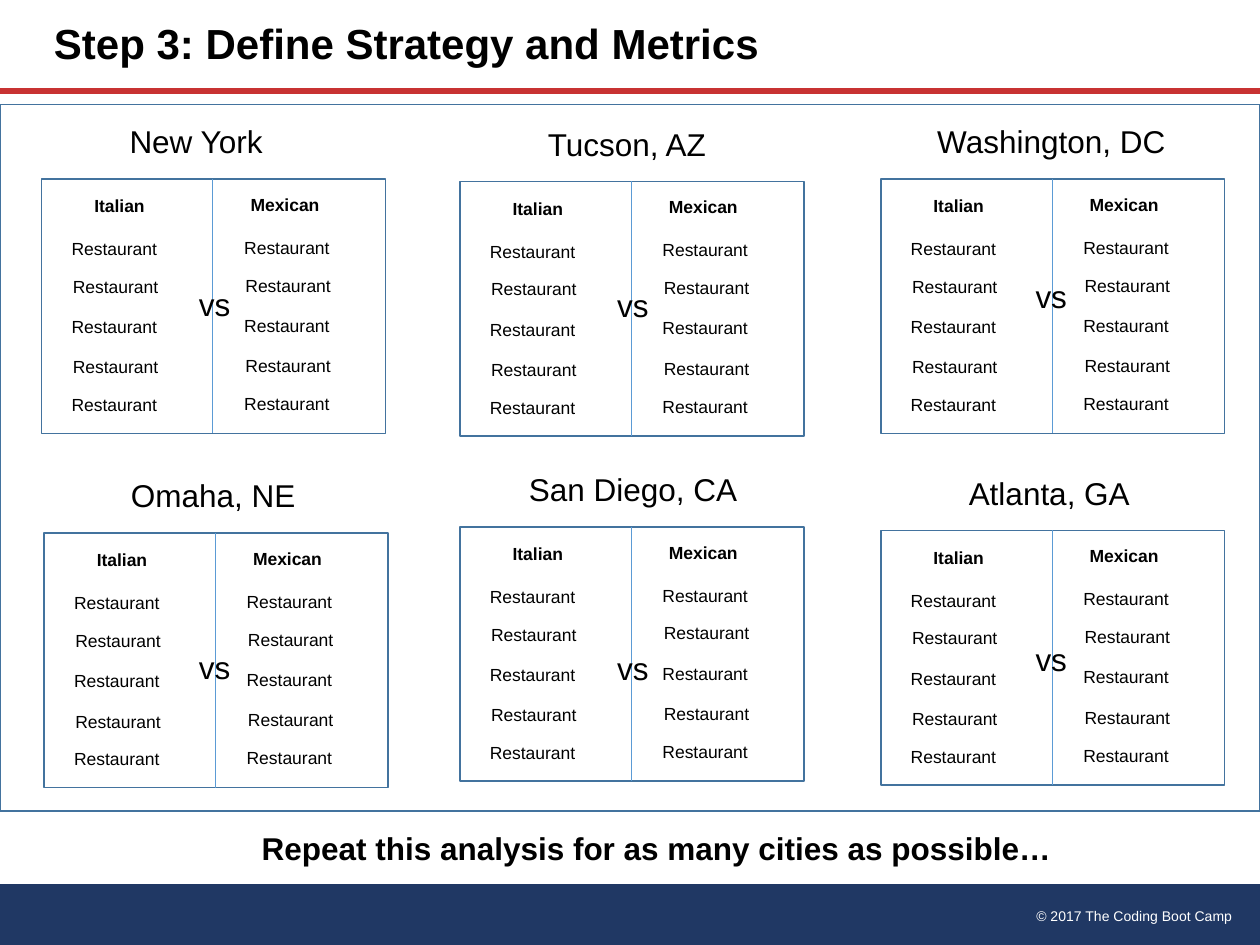
from dataclasses import dataclass

from lxml.etree import SubElement
from pptx import Presentation
from pptx.dml.color import RGBColor
from pptx.enum.shapes import MSO_CONNECTOR as CONN, MSO_SHAPE as SHAPE
from pptx.enum.text import MSO_ANCHOR as ANCHOR, MSO_AUTO_SIZE as AUTO, PP_ALIGN as ALIGN
from pptx.oxml.ns import qn
from pptx.util import Pt

"""Build the restaurant comparison slide for six cities."""

PX = 9144
FONT = "Arial"
BLACK = RGBColor(0x00, 0x00, 0x00)
WHITE = RGBColor(0xFF, 0xFF, 0xFF)
NAVY = RGBColor(0x20, 0x38, 0x64)
RED = RGBColor(0xC8, 0x32, 0x32)
STEEL = RGBColor(0x43, 0x73, 0x9E)
SKY = RGBColor(0x5B, 0x9B, 0xD5)

CARD_W, CARD_H = 273, 202
DIVIDER_X = 136
ROW_YS = (42, 72, 104, 136, 166)


@dataclass(frozen=True)
class City:
    name: str
    x: int
    y: int
    name_x: int
    name_w: int
    vs_x: int
    vs_y: int


@dataclass(frozen=True)
class Cuisine:
    name: str
    x: int
    w: int
    rows_x: int
    lift: int


CITIES = (
    City("New York", 33, 142, 93, 154, 148, 221),
    City("Tucson, AZ", 365, 144, 425, 147, 480, 222),
    City("Washington, DC", 699, 142, 734, 203, 812, 215),
    City("Omaha, NE", 35, 423, 94, 152, 148, 509),
    City("San Diego, CA", 365, 418, 410, 187, 480, 510),
    City("Atlanta, GA", 699, 421, 759, 149, 812, 503),
)
CUISINES = (
    Cuisine("Italian", 32, 73, 14, 0),
    Cuisine("Mexican", 156, 91, 151, 1),
)


def add_text(shapes, text: str, x: int, y: int, w: int, h: int, size: int,
             bold: bool = False, color: RGBColor = BLACK, align=ALIGN.LEFT,
             wrap: bool = False):
    """Add a one-run text box and return its text frame."""
    tf = shapes.add_textbox(x * PX, y * PX, w * PX, h * PX).text_frame
    tf.word_wrap = wrap
    tf.auto_size = AUTO.SHAPE_TO_FIT_TEXT
    p = tf.paragraphs[0]
    p.alignment = align
    r = p.add_run()
    r.text = text
    r.font.name = FONT
    r.font.size = Pt(size)
    r.font.bold = bold
    r.font.color.rgb = color
    return tf


def add_frame(shapes, x: int, y: int, w: int, h: int) -> None:
    """Add an outlined rectangle without fill."""
    sp = shapes.add_shape(SHAPE.RECTANGLE, x * PX, y * PX, w * PX, h * PX)
    sp.shadow.inherit = False
    sp.fill.background()
    sp.line.color.rgb = STEEL
    sp.line.width = Pt(1)


def add_line(shapes, x1: int, y1: int, x2: int, y2: int,
             color: RGBColor, width: float) -> None:
    """Add a straight line without a shadow."""
    line = shapes.add_connector(CONN.STRAIGHT, x1 * PX, y1 * PX, x2 * PX, y2 * PX)
    line.line.color.rgb = color
    line.line.width = Pt(width)
    SubElement(line._element.spPr, qn("a:effectLst"))


def add_city(s, city: City) -> None:
    """Add the grouped card of one city."""
    shapes = s.shapes.add_group_shape().shapes
    add_frame(shapes, city.x, city.y, CARD_W, CARD_H)
    add_text(shapes, city.name, city.name_x, city.y - 50, city.name_w, 40, 18)
    mid = city.x + DIVIDER_X
    add_line(shapes, mid, city.y, mid, city.y + CARD_H, SKY, 0.5)
    for c in CUISINES:
        top = city.y - c.lift
        add_text(shapes, c.name, city.x + c.x, top + 8, c.w, 33, 10, bold=True)
        for i, row_y in enumerate(ROW_YS):
            add_text(shapes, "Restaurant", city.x + c.rows_x + i % 2,
                     top + row_y, 107, 33, 10)


def add_footer(s) -> None:
    """Add the bottom band and its copyright line."""
    sp = s.shapes.add_shape(SHAPE.FLOWCHART_PROCESS, 0, 702 * PX, 1001 * PX, 50 * PX)
    sp.shadow.inherit = False
    sp.fill.solid()
    sp.fill.fore_color.rgb = NAVY
    sp.line.fill.background()
    add_text(s.shapes, "© 2017 The Coding Boot Camp", 683, 715, 305, 24, 8,
             color=WHITE, align=ALIGN.RIGHT, wrap=True)


def add_title(s) -> None:
    """Add the slide title and the rule below it."""
    add_line(s.shapes, 0, 72, 1000, 72, RED, 3.25)
    tf = add_text(s.shapes, "Step 3: Define Strategy and Metrics",
                  33, 0, 758, 72, 24, bold=True, wrap=True)
    tf.auto_size = AUTO.NONE
    tf.vertical_anchor = ANCHOR.MIDDLE
    tf.paragraphs[0].line_spacing = 0.9


def main() -> None:
    """Build and save the slide."""
    prs = Presentation()
    prs.slide_width, prs.slide_height = 1000 * PX, 750 * PX
    s = prs.slides.add_slide(prs.slide_layouts[6])
    add_footer(s)
    add_title(s)
    for city in CITIES:
        add_city(s, city)
    add_text(s.shapes, "Repeat this analysis for as many cities as possible…",
             197, 653, 648, 40, 18, bold=True, align=ALIGN.CENTER)
    add_frame(s.shapes, 0, 83, 1000, 561)
    for city in CITIES:
        add_text(s.shapes, "vs", city.vs_x, city.vs_y, 45, 40, 18)
    prs.save("out.pptx")


if __name__ == "__main__":
    main()
